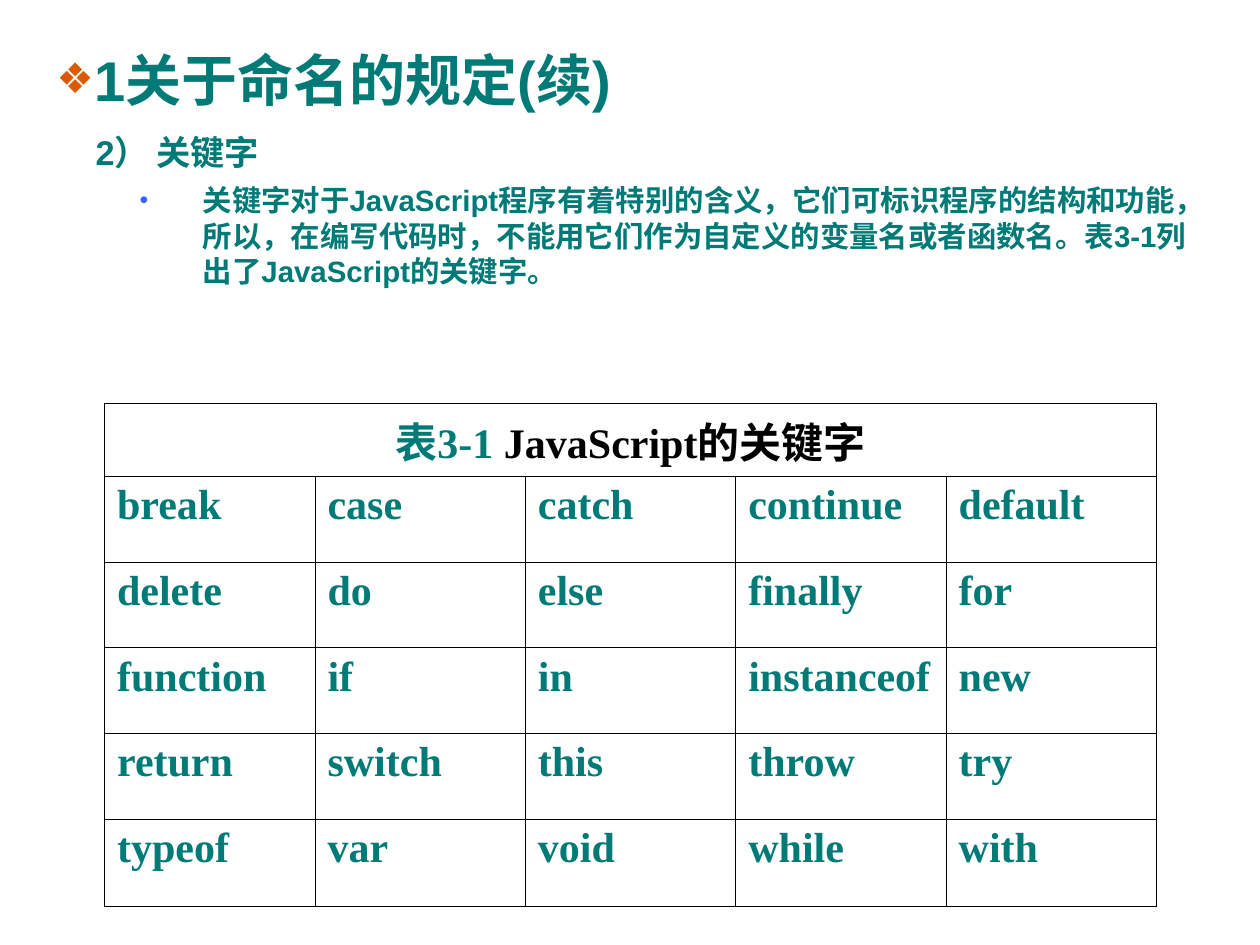
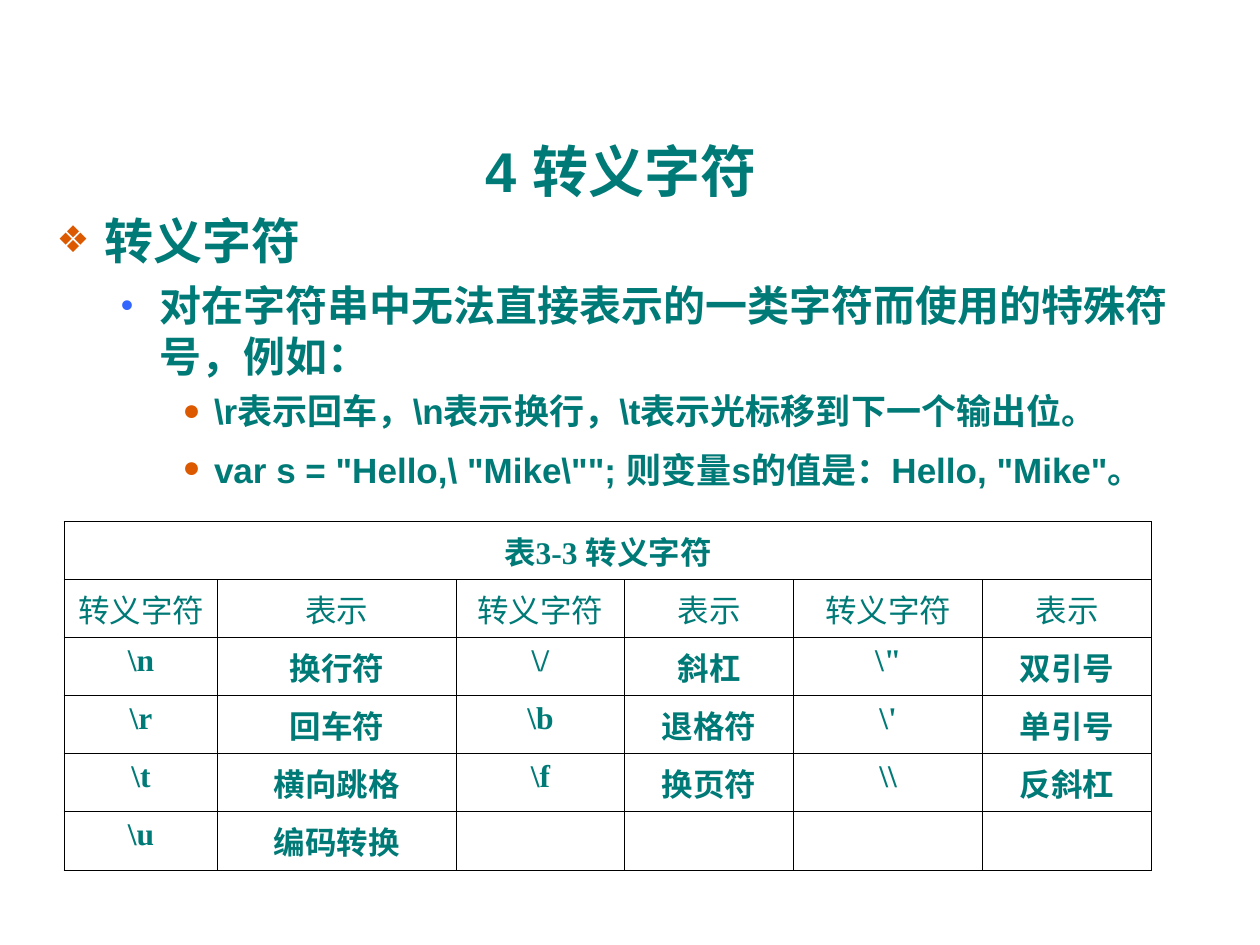
from dataclasses import dataclass

from lxml import etree
from pptx import Presentation
from pptx.dml.color import RGBColor
from pptx.enum.text import MSO_ANCHOR, PP_ALIGN
from pptx.oxml.ns import qn
from pptx.util import Inches, Pt

CENTER, LEFT = PP_ALIGN.CENTER, PP_ALIGN.LEFT
MIDDLE, TOP = MSO_ANCHOR.MIDDLE, MSO_ANCHOR.TOP


@dataclass(frozen=True)
class Theme:
    teal: str = "007A77"
    orange: str = "DC5900"
    blue: str = "3366FF"
    black: str = "000000"
    sans: str = "Arial"
    serif: str = "Times New Roman"
    title_size: float = 32
    thick: float = 0.75
    thin: float = 0.45


THEME = Theme()

# Bullets: character, colour, percent of the text size
DIAMOND = ("❖", THEME.orange, 75)
DOT = ("•", THEME.blue, 85)
DISC = ("●", THEME.orange, 85)

# Body lines: text, size, level, left margin, first-line indent, space before, bullet
NAMING = {
    "title": "1关于命名的规定(续)",
    "title_at": (0.35, 0, 9.34, 1.25),
    "title_align": LEFT,
    "title_bullet": DIAMOND,
    "title_tail": None,
    "body_at": (0.51, 0.99, 9.02, 1.44),
    "body": [
        ("2） 关键字", 19.6, 0, 0.15, 0, 6, None),
        ("关键字对于JavaScript程序有着特别的含义，它们可标识程序的结构和功能，"
         "所以，在编写代码时，不能用它们作为自定义的变量名或者函数名。"
         "表3-1列出了JavaScript的关键字。", 16.8, 1, 1, -0.5, 6, DOT),
    ],
    "body_tail": None,
    "table": {
        "at": (0.83, 3.2),
        "columns": [1.67] * 5,
        "rows": [0.58] + [0.68] * 4 + [0.69],
        "size": 24,
        "align": LEFT,
        "thick_edges": (0, 5),
        "light_rows": (),
        "caption": [("表3-1 ", THEME.teal), ("JavaScript的关键字", THEME.black)],
        "cells": [
            ("break", "case", "catch", "continue", "default"),
            ("delete", "do", "else", "finally", "for"),
            ("function", "if", "in", "instanceof", "new"),
            ("return", "switch", "this", "throw", "try"),
            ("typeof", "var", "void", "while", "with"),
        ],
    },
}

ESCAPES = {
    "title": "4 转义字符",
    "title_at": (0.33, 0.66, 9.34, 1.25),
    "title_align": CENTER,
    "title_bullet": None,
    "title_tail": 44,
    "body_at": (0.35, 1.62, 9.32, 2.44),
    "body": [
        ("转义字符", 28, 0, 0.38, -0.38, 7, DIAMOND),
        ("对在字符串中无法直接表示的一类字符而使用的特殊符号，例如：",
         24, 1, 0.82, -0.31, 6, DOT),
        (r"\r表示回车，\n表示换行，\t表示光标移到下一个输出位。",
         20, 2, 1.25, -0.25, 5, DISC),
        (r'var s = "Hello,\ "Mike\""; 则变量s的值是：Hello, "Mike"。',
         20, 2, 1.25, -0.25, 6, DISC),
    ],
    "body_tail": 24,
    "table": {
        "at": (0.51, 4.14),
        "columns": [1.22, 1.89, 1.34, 1.34, 1.5, 1.34],
        "rows": [0.46] * 5 + [0.47],
        "size": 18,
        "align": CENTER,
        "thick_edges": (0, 1, 3, 5, 6),
        "light_rows": (1,),
        "caption": [("表3-3 转义字符", THEME.teal)],
        "cells": [
            ("转义字符", "表示") * 3,
            (r"\n", "换行符", r"\/", "斜杠", r"\"", "双引号"),
            (r"\r", "回车符", r"\b", "退格符", r"\'", "单引号"),
            (r"\t", "横向跳格", r"\f", "换页符", r"\\", "反斜杠"),
            (r"\u", "编码转换", "", "", "", ""),
        ],
    },
}


def add_span(para, text, size, font=THEME.sans, color=THEME.teal, bold=True):
    span = para.add_run()
    span.text = text
    span.font.size = Pt(size)
    span.font.name = font
    span.font.bold = bold
    span.font.color.rgb = RGBColor.from_string(color)


def add_color(parent, color):
    etree.SubElement(parent, qn("a:srgbClr"), val=color)


def set_bullet(para, bullet):
    character, color, percent = bullet
    properties = para._p.get_or_add_pPr()
    add_color(etree.SubElement(properties, qn("a:buClr")), color)
    etree.SubElement(properties, qn("a:buSzPct"), val=str(percent * 1000))
    etree.SubElement(properties, qn("a:buFont"), typeface=THEME.sans)
    etree.SubElement(properties, qn("a:buChar"), char=character)


def add_box(page, at, anchor):
    frame = page.shapes.add_textbox(*map(Inches, at)).text_frame
    frame.word_wrap = True
    frame.vertical_anchor = anchor
    return frame


def add_title(page, content):
    para = add_box(page, content["title_at"], MIDDLE).paragraphs[0]
    para.alignment = content["title_align"]
    add_span(para, content["title"], THEME.title_size)
    if content["title_tail"]:
        add_span(para, " ", content["title_tail"], bold=False)
    if content["title_bullet"]:
        set_bullet(para, content["title_bullet"])


def add_body(page, content):
    frame = add_box(page, content["body_at"], TOP)
    for index, line in enumerate(content["body"]):
        text, size, level, margin, indent, before, bullet = line
        para = frame.add_paragraph() if index else frame.paragraphs[0]
        para.level = level
        para.space_before = Pt(before)
        properties = para._p.get_or_add_pPr()
        properties.set("marL", str(Inches(margin)))
        properties.set("indent", str(Inches(indent)))
        if bullet:
            set_bullet(para, bullet)
        add_span(para, text, size)
    if content["body_tail"]:
        add_span(para, " ", content["body_tail"])


def set_borders(cell, left, right, top, bottom):
    properties = cell._tc.get_or_add_tcPr()
    sides = (("L", left), ("R", right), ("T", top), ("B", bottom))
    for index, (side, width) in enumerate(sides):
        line = etree.Element(qn("a:ln" + side), w=str(Pt(width)))
        add_color(etree.SubElement(line, qn("a:solidFill")), THEME.black)
        properties.insert(index, line)


def add_table(page, content):
    columns, rows = content["columns"], content["rows"]
    size, thick, thin = content["size"], THEME.thick, THEME.thin
    left, top = content["at"]
    table = page.shapes.add_table(
        len(rows), len(columns), Inches(left), Inches(top),
        Inches(sum(columns)), Inches(sum(rows))).table
    table.first_row = table.horz_banding = False
    for column, width in zip(table.columns, columns):
        column.width = Inches(width)
    for row, height in zip(table.rows, rows):
        row.height = Inches(height)

    # Caption across the whole first row
    caption = table.cell(0, 0)
    caption.merge(table.cell(0, len(columns) - 1))
    caption.fill.background()
    set_borders(caption, thick, thick, thick, thin)
    para = caption.text_frame.paragraphs[0]
    para.alignment = CENTER
    for text, color in content["caption"]:
        add_span(para, text, size, THEME.serif, color)

    # Cells below the caption
    edges = [thick if edge in content["thick_edges"] else thin
             for edge in range(len(columns) + 1)]
    for row, texts in enumerate(content["cells"], start=1):
        for column, text in enumerate(texts):
            cell = table.cell(row, column)
            cell.fill.background()
            set_borders(cell, edges[column], edges[column + 1], thin, thin)
            para = cell.text_frame.paragraphs[0]
            para.alignment = content["align"]
            if text:
                add_span(para, text, size, THEME.serif,
                         bold=row not in content["light_rows"])


def main():
    deck = Presentation()
    deck.slide_width, deck.slide_height = Inches(10), Inches(7.5)
    for content in (NAMING, ESCAPES):
        page = deck.slides.add_slide(deck.slide_layouts[6])
        add_title(page, content)
        add_body(page, content)
        add_table(page, content["table"])
    deck.save("out.pptx")


if __name__ == "__main__":
    main()
